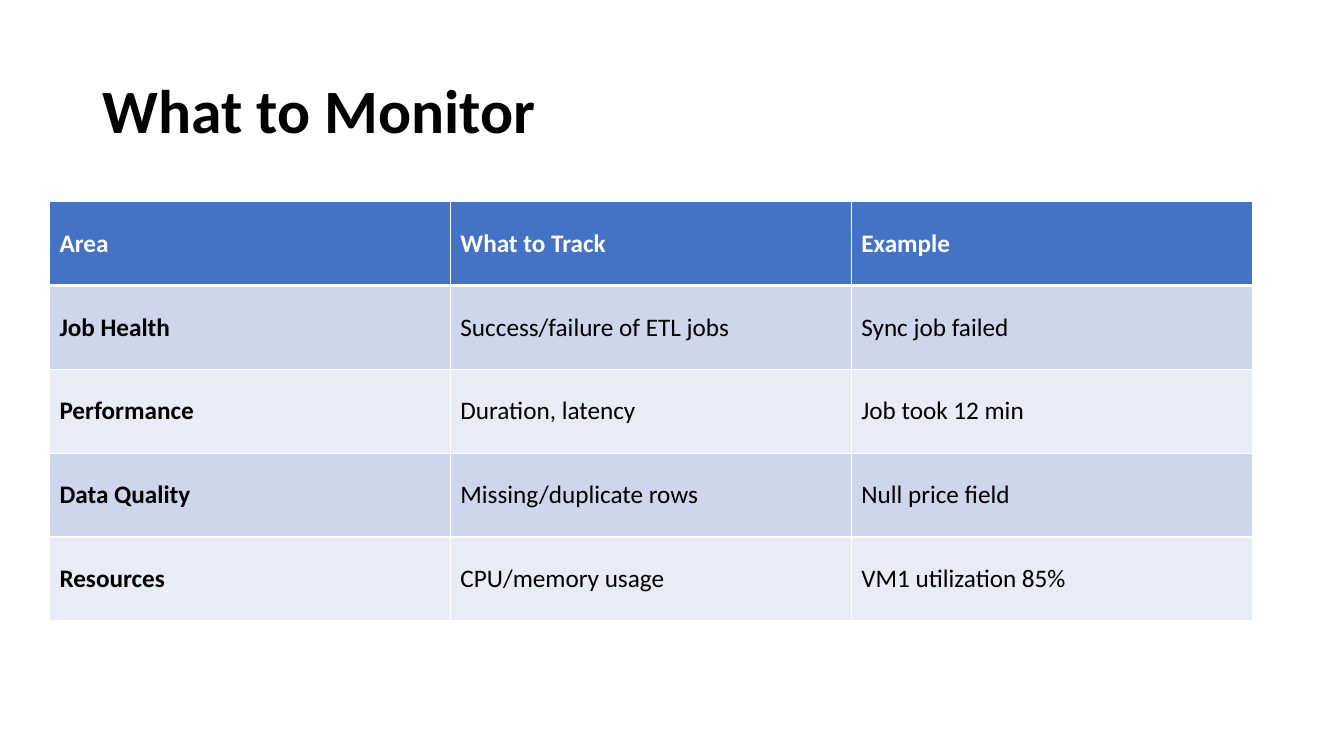
from lxml import etree
from pptx import Presentation
from pptx.dml.color import RGBColor
from pptx.enum.text import MSO_ANCHOR, PP_ALIGN
from pptx.oxml.ns import qn
from pptx.util import Inches, Pt

MIDDLE = MSO_ANCHOR.MIDDLE
LEFT = PP_ALIGN.LEFT
FONT = "Calibri"
WHITE, BLACK = "FFFFFF", "000000"
HEADER_FILL = "4472C4"
BAND_FILLS = ["E9EBF5", "CFD5EA"]

ROWS = [
    ["Area", "What to Track", "Example"],
    ["Job Health", "Success/failure of ETL jobs", "Sync job failed"],
    ["Performance", "Duration, latency", "Job took 12 min"],
    ["Data Quality", "Missing/duplicate rows", "Null price field"],
    ["Resources", "CPU/memory usage", "VM1 utilization 85%"],
]


def style_span(span, size, color, bold):
    span.font.name = FONT
    span.font.size = Pt(size)
    span.font.bold = bold
    span.font.color.rgb = RGBColor.from_string(color)


def add_border(cell, side, width):
    line = etree.SubElement(cell._tc.get_or_add_tcPr(), qn(f"a:{side}"), w=str(Pt(width)))
    fill = etree.SubElement(line, qn("a:solidFill"))
    etree.SubElement(fill, qn("a:srgbClr"), val=WHITE)


deck = Presentation()
deck.slide_width = Inches(13.33)
deck.slide_height = Inches(7.5)
page = deck.slides.add_slide(deck.slide_layouts[5])

title = page.shapes.title
title.left, title.top = Inches(0.92), Inches(0.4)
title.width, title.height = Inches(11.5), Inches(1.45)
title.text_frame.text = "What to Monitor"
title.text_frame.vertical_anchor = MIDDLE
title_para = title.text_frame.paragraphs[0]
title_para.alignment = LEFT
title_para.line_spacing = 0.9
style_span(title_para.runs[0], 44, BLACK, True)

table = page.shapes.add_table(
    len(ROWS), len(ROWS[0]), Inches(0.49), Inches(2), Inches(11.93), Inches(4.16)
).table

for row_index, row in enumerate(ROWS):
    is_header = row_index == 0
    for column_index, wording in enumerate(row):
        cell = table.cell(row_index, column_index)
        cell.text_frame.text = wording
        cell.vertical_anchor = MIDDLE
        style_span(
            cell.text_frame.paragraphs[0].runs[0],
            18,
            WHITE if is_header else BLACK,
            is_header or column_index == 0,
        )
        add_border(cell, "lnL", 1)
        add_border(cell, "lnR", 1)
        add_border(cell, "lnT", 3 if row_index == 1 else 1)
        add_border(cell, "lnB", 3 if is_header else 1)
        cell.fill.solid()
        cell.fill.fore_color.rgb = RGBColor.from_string(
            HEADER_FILL if is_header else BAND_FILLS[row_index % 2]
        )

deck.save("out.pptx")
